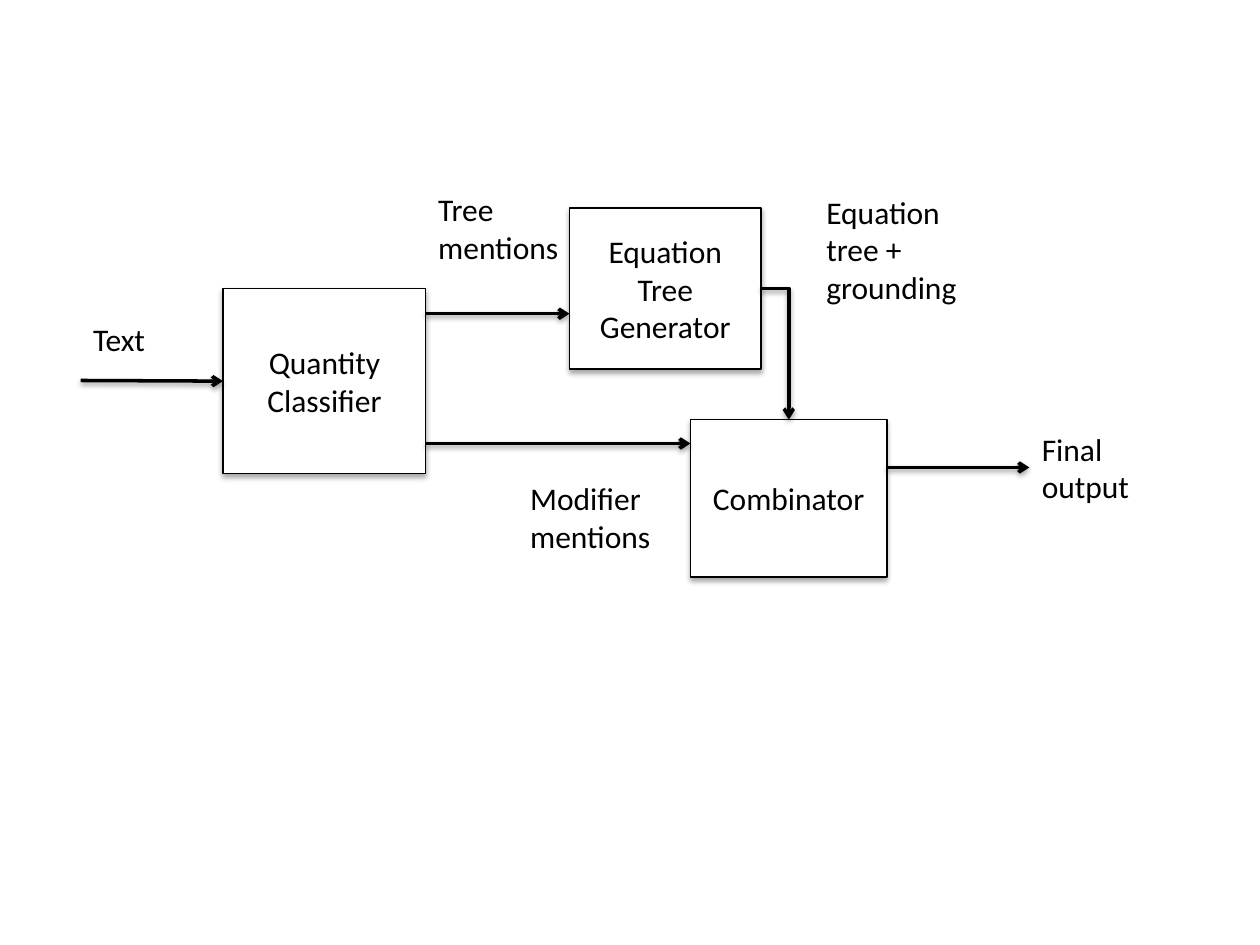
"""Build the equation parsing pipeline slide."""
from pptx import Presentation
from pptx.dml.color import RGBColor
from pptx.enum import shapes, text
from pptx.oxml import parse_xml
from pptx.oxml.ns import nsdecls, qn
from pptx.util import Inches, Pt

BLACK = RGBColor(0, 0, 0)
WHITE = RGBColor(255, 255, 255)
FONT = "Calibri"


def add_shadow(sp, opacity, distance):
    """Give a shape or connector a soft shadow below it."""
    sp_pr = sp._element.spPr
    for old in sp_pr.findall(qn("a:effectLst")):
        sp_pr.remove(old)
    sp_pr.append(parse_xml(
        f'<a:effectLst {nsdecls("a")}><a:outerShdw blurRad="{Pt(3.1)}" '
        f'dist="{Pt(distance)}" dir="5400000" rotWithShape="0">'
        f'<a:srgbClr val="{BLACK}"><a:alpha val="{opacity * 1000}"/></a:srgbClr>'
        '</a:outerShdw></a:effectLst>'))


def write(tf, lines, align):
    """Write one paragraph per line."""
    for i, line in enumerate(lines):
        p = tf.paragraphs[0] if i == 0 else tf.add_paragraph()
        p.alignment = align
        r = p.add_run()
        r.text = line
        r.font.name = FONT
        r.font.size = Pt(18)
        r.font.color.rgb = BLACK


def add_box(s, bounds, *lines):
    """Add a white process box with centred text."""
    sp = s.shapes.add_shape(shapes.MSO_SHAPE.RECTANGLE, *map(Inches, bounds))
    sp.fill.solid()
    sp.fill.fore_color.rgb = WHITE
    sp.line.color.rgb = BLACK
    sp.line.width = Pt(0.75)
    add_shadow(sp, 35, 1.8)
    tf = sp.text_frame
    tf.word_wrap = True
    tf.vertical_anchor = text.MSO_ANCHOR.MIDDLE
    write(tf, lines, text.PP_ALIGN.CENTER)
    return sp


def add_label(s, bounds, *lines, wrap=False):
    """Add a left-aligned label."""
    tf = s.shapes.add_textbox(*map(Inches, bounds)).text_frame
    tf.word_wrap = wrap
    tf.auto_size = text.MSO_AUTO_SIZE.SHAPE_TO_FIT_TEXT
    write(tf, lines, text.PP_ALIGN.LEFT)


def add_arrow(s, x1, y1, x2, y2, kind=shapes.MSO_CONNECTOR.STRAIGHT):
    """Add a black connector with an open arrowhead at its end."""
    c = s.shapes.add_connector(kind, *map(Inches, (x1, y1, x2, y2)))
    c.line.color.rgb = BLACK
    c.line.width = Pt(2)
    c.line._get_or_add_ln().append(
        parse_xml(f'<a:tailEnd {nsdecls("a")} type="arrow"/>'))
    add_shadow(c, 38, 1.6)
    return c


def main():
    """Lay out the pipeline and save the slide."""
    prs = Presentation()
    prs.slide_width, prs.slide_height = Inches(10), Inches(7.5)
    s = prs.slides.add_slide(prs.slide_layouts[6])

    classifier = add_box(s, (1.77, 2.29, 1.61, 1.47), "Quantity Classifier")
    generator = add_box(s, (4.52, 1.65, 1.52, 1.28), "Equation", "Tree Generator")
    combinator = add_box(s, (5.48, 3.33, 1.56, 1.25), "Combinator")

    add_arrow(s, 0.64, 3.02, 1.77, 3.02).end_connect(classifier, 1)
    add_arrow(s, 3.38, 3.52, 5.48, 3.52)
    add_arrow(s, 3.38, 2.49, 4.52, 2.49)
    add_arrow(s, 7.04, 3.71, 8.17, 3.71)
    bend = add_arrow(s, 6.04, 2.29, 6.26, 3.33, shapes.MSO_CONNECTOR.ELBOW)
    bend._element.spPr.find(qn("a:prstGeom")).set("prst", "bentConnector2")
    bend.begin_connect(generator, 3)
    bend.end_connect(combinator, 0)

    add_label(s, (0.64, 2.49, 0.65, 0.4), "Text")
    add_label(s, (3.38, 1.46, 1.17, 0.71), "Tree", "mentions")
    add_label(s, (4.11, 3.75, 1.17, 0.71), "Modifier", "mentions")
    add_label(s, (6.46, 1.48, 1.48, 1.01), "Equation tree + grounding", wrap=True)
    add_label(s, (8.17, 3.36, 0.9, 0.71), "Final", "output")

    prs.save("out.pptx")


main()
